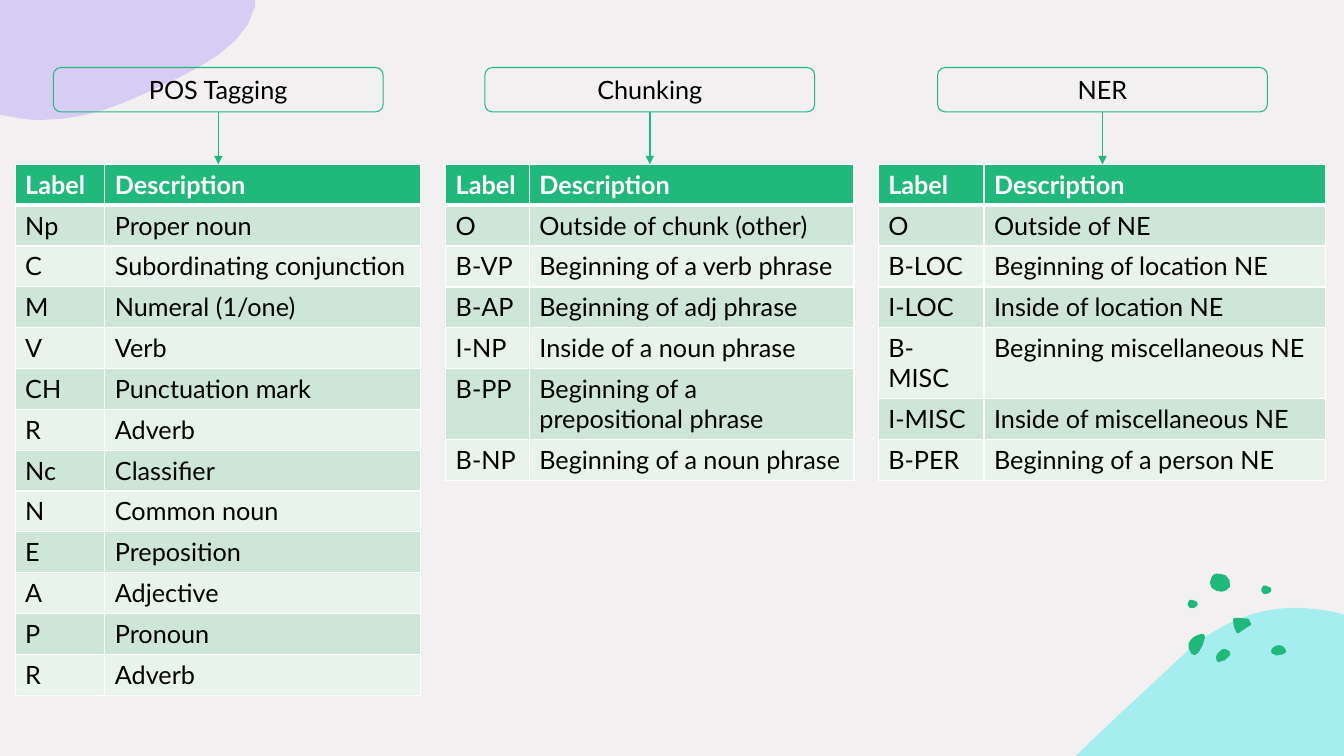
from lxml import etree
from pptx import Presentation
from pptx import util as u
from pptx.dml.color import RGBColor
from pptx.enum import shapes, text
from pptx.oxml import ns

PX = 9144  # EMU per px, 100 px to the inch
FONT = "Lato"
SIZE = u.Pt(18)
PAPER = RGBColor(0xF3, 0xF0, 0xF1)
GREEN = RGBColor(0x21, 0xB8, 0x7B)
BAND_DARK = RGBColor(0xCD, 0xE6, 0xD7)
BAND_LIGHT = RGBColor(0xE8, 0xF3, 0xEC)
WHITE = RGBColor(0xFF, 0xFF, 0xFF)
BLACK = RGBColor(0, 0, 0)
LILAC = RGBColor(0xBD, 0xA9, 0xF5)
AQUA = RGBColor(0x58, 0xEB, 0xEC)

TABLE_TOP = 163
TABLE_HEIGHTS = {13: 527, 7: 284}  # by number of rows
BOX_TOP, BOX_WIDTH, BOX_HEIGHT = 67, 327, 44
BLOB_STEPS, PEBBLE_STEPS = 6, 2  # straight pieces per curve

# Outlines: a start point, then 2 numbers for a line or 6 for a curve.
LILAC_BLOB = [(0, 0), (253, 0), (253, 6), (245, 44, 200, 67, 158, 86),
              (123, 103, 86, 119, 41, 119), (31, 119, 22, 118, 13, 116), (0, 114)]
AQUA_HILL = [(1288, 603), (1301, 604, 1314, 605, 1327, 608), (1333, 610), (1333, 750),
             (1067, 750), (1068, 749), (1102, 716, 1137, 684, 1169, 654),
             (1191, 632, 1214, 619, 1237, 611), (1254, 605, 1271, 603, 1288, 603)]
SMALL_PEBBLE = [(1, 5), (1, 5, 1, 1, 3, 0), (5, 0, 6, 0, 8, 1), (9, 1, 11, 2, 11, 4),
                (11, 5, 10, 7, 9, 7), (9, 7, 9, 8, 7, 8), (6, 8, 4, 9, 3, 8), (2, 6, 1, 6, 1, 5)]
PEBBLES = [
    (1206, 644, [(7, 0), (9, 0, 10, 0, 12, 1), (14, 2, 15, 4, 14, 6), (12, 9, 6, 14, 2, 13),
                 (1, 12, 0, 10, 0, 8), (0, 6, 2, 3, 4, 2), (5, 1, 6, 0, 7, 0)]),
    (1179, 629, [(12, 0), (14, 0, 16, 0, 16, 2), (16, 3, 16, 3, 16, 4), (15, 9, 13, 14, 10, 18),
                 (8, 20, 5, 23, 3, 20), (0, 17, -1, 12, 0, 9), (1, 6, 3, 5, 5, 3),
                 (6, 3, 9, 0, 12, 0)]),
    (1261, 640, [(8, 0), (10, 0, 13, 2, 14, 4), (15, 6, 15, 8, 12, 9), (9, 11, 1, 11, 0, 8),
                 (-1, 6, 0, 4, 1, 3), (3, 1, 5, 0, 8, 0)]),
    (1200, 569, [(1, 12), (0, 12, -1, 6, 2, 3), (4, 1, 4, 0, 7, 0), (10, 0, 14, 1, 16, 2),
                 (18, 4, 22, 9, 20, 13), (17, 16, 16, 18, 12, 18), (9, 18, 4, 17, 3, 15),
                 (1, 14, 1, 13, 1, 12)]),
    (1250, 581, SMALL_PEBBLE),
    (1177, 595, SMALL_PEBBLE),
    (1223, 613, [(5, 0), (11, 0, 22, 0, 18, 6), (18, 7, 17, 8, 16, 8), (13, 10, 10, 12, 7, 14),
                 (6, 15, 5, 16, 4, 15), (4, 15, 3, 14, 3, 14), (1, 10, 0, 7, 0, 3),
                 (0, 2, 0, 1, 1, 0), (2, 0, 4, 0, 5, 0)]),
]

# Heading, box left, table left, column widths, label and description rows
TASKS = [
    ("POS Tagging", 53, 15, (89, 313), [
        ("Np", "Proper noun"), ("C", "Subordinating conjunction"), ("M", "Numeral (1/one)"),
        ("V", "Verb"), ("CH", "Punctuation mark"), ("R", "Adverb"), ("Nc", "Classifier"),
        ("N", "Common noun"), ("E", "Preposition"), ("A", "Adjective"), ("P", "Pronoun"),
        ("R", "Adverb")]),
    ("Chunking", 481, 442, (83, 322), [
        ("O", "Outside of chunk (other)"), ("B-VP", "Beginning of a verb phrase"),
        ("B-AP", "Beginning of adj phrase"), ("I-NP", "Inside of a noun phrase"),
        ("B-PP", "Beginning of a prepositional phrase"),
        ("B-NP", "Beginning of a noun phrase")]),
    ("NER", 930, 871, (105, 339), [
        ("O", "Outside of NE"), ("B-LOC", "Beginning of location NE"),
        ("I-LOC", "Inside of location NE"), ("B-MISC", "Beginning miscellaneous NE"),
        ("I-MISC", "Inside of miscellaneous NE"), ("B-PER", "Beginning of a person NE")]),
]


def px(*lengths):
    return [u.Emu(length * PX) for length in lengths]


def flatten(outline, steps):
    """Turn lines and cubic curves into a list of points."""
    points = [outline[0]]
    for segment in outline[1:]:
        if len(segment) == 2:
            points.append(segment)
            continue
        x0, y0 = points[-1]
        x1, y1, x2, y2, x3, y3 = segment
        for step in range(1, steps + 1):
            t = step / steps
            a, b, c, d = (1 - t) ** 3, 3 * t * (1 - t) ** 2, 3 * t * t * (1 - t), t ** 3
            points.append((a * x0 + b * x1 + c * x2 + d * x3,
                           a * y0 + b * y1 + c * y2 + d * y3))
    return points


def add_blob(page, left, top, outline, color, steps, opacity=100):
    points = [(round((left + x) * PX), round((top + y) * PX))
              for x, y in flatten(outline, steps)]
    builder = page.shapes.build_freeform(*points[0])
    builder.add_line_segments(points[1:], close=True)
    blob = builder.convert_to_shape()
    blob.shadow.inherit = False
    blob.line.fill.background()
    blob.fill.solid()
    blob.fill.fore_color.rgb = color
    if opacity < 100:
        tint = next(blob.fill._xPr.iter(ns.qn("a:srgbClr")))
        etree.SubElement(tint, ns.qn("a:alpha"), val=str(opacity * 1000))


def add_decoration(page):
    add_blob(page, 0, 0, AQUA_HILL, AQUA, BLOB_STEPS, 50)
    for left, top, outline in PEBBLES:
        add_blob(page, left, top, outline, GREEN, PEBBLE_STEPS)
    add_blob(page, 0, 0, LILAC_BLOB, LILAC, BLOB_STEPS, 50)


def format_text(para, color, bold=False):
    for span in para.runs:
        span.font.name = FONT
        span.font.size = SIZE
        span.font.bold = bold
        span.font.color.rgb = color


def set_borders(cell, top, bottom):
    """Draw white borders, with the top and bottom widths in points."""
    properties = cell._tc.get_or_add_tcPr()
    for side, width in (("L", 1), ("R", 1), ("T", top), ("B", bottom)):
        border = etree.SubElement(properties, ns.qn("a:ln" + side), w=str(u.Pt(width)))
        fill = etree.SubElement(border, ns.qn("a:solidFill"))
        etree.SubElement(fill, ns.qn("a:srgbClr"), val=str(WHITE))


def add_label_table(page, left, top, widths, entries):
    rows = [("Label", "Description"), *entries]
    frame = page.shapes.add_table(len(rows), len(widths),
                                  *px(left, top, sum(widths), TABLE_HEIGHTS[len(rows)]))
    table = frame.table
    table.horz_banding = False
    for column, width in zip(table.columns, widths):
        column.width = u.Emu(width * PX)
    for index, row in enumerate(rows):
        header = index == 0
        color = GREEN if header else BAND_DARK if index % 2 else BAND_LIGHT
        for cell, words in zip(table.rows[index].cells, row):
            set_borders(cell, 3 if index == 1 else 1, 3 if header else 1)
            cell.fill.solid()
            cell.fill.fore_color.rgb = color
            cell.text_frame.text = words
            format_text(cell.text_frame.paragraphs[0], WHITE if header else BLACK, header)


def add_heading(page, left, top, words):
    box = page.shapes.add_shape(shapes.MSO_SHAPE.ROUNDED_RECTANGLE,
                                *px(left, top, BOX_WIDTH, BOX_HEIGHT))
    box.shadow.inherit = False
    box.fill.background()
    box.line.color.rgb = GREEN
    box.line.width = u.Pt(0.75)
    box.text_frame.text = words
    box.text_frame.vertical_anchor = text.MSO_ANCHOR.MIDDLE
    para = box.text_frame.paragraphs[0]
    para.alignment = text.PP_ALIGN.CENTER
    format_text(para, BLACK)
    return box


def add_arrow(page, box, bottom):
    middle = box.left + box.width // 2
    arrow = page.shapes.add_connector(shapes.MSO_CONNECTOR.STRAIGHT, middle,
                                      box.top + box.height, middle, u.Emu(bottom * PX))
    arrow.begin_connect(box, 2)
    arrow.line.color.rgb = GREEN
    arrow.line.width = u.Pt(1)
    etree.SubElement(arrow.line._get_or_add_ln(), ns.qn("a:tailEnd"), type="triangle")
    etree.SubElement(arrow._element.spPr, ns.qn("a:effectLst"))


def main():
    deck = Presentation()
    deck.slide_width, deck.slide_height = px(1333, 750)
    page = deck.slides.add_slide(deck.slide_layouts[6])
    page.background.fill.solid()
    page.background.fill.fore_color.rgb = PAPER
    add_decoration(page)
    for heading, box_left, table_left, widths, entries in TASKS:
        add_label_table(page, table_left, TABLE_TOP, widths, entries)
        box = add_heading(page, box_left, BOX_TOP, heading)
        add_arrow(page, box, TABLE_TOP)
    deck.save("out.pptx")


if __name__ == "__main__":
    main()
